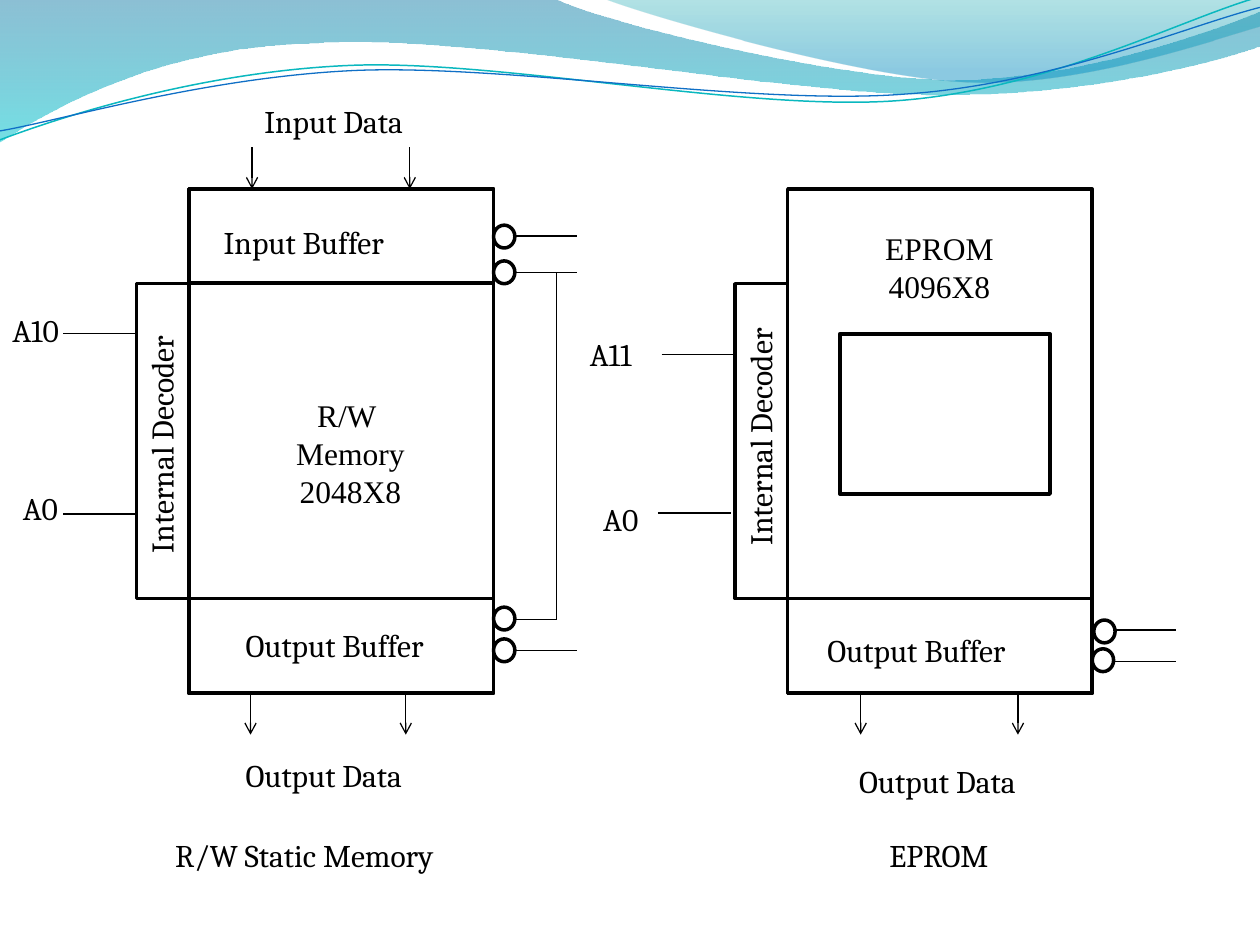
from lxml.etree import SubElement
from pptx import Presentation
from pptx.dml.color import RGBColor
from pptx.enum.shapes import MSO_CONNECTOR as Connector, MSO_SHAPE as Shape
from pptx.enum.text import MSO_AUTO_SIZE as AutoSize, PP_ALIGN as Align
from pptx.oxml.ns import qn
from pptx.util import Cm, Pt

BLACK, WHITE = "000000", "FFFFFF"
BODY_TOP, BODY_WIDTH, BODY_HEIGHT = 3.81, 6.14, 10.16
BUFFER_HEIGHT, DECODER_WIDTH = 1.9, 1.06
BODY_BOTTOM = BODY_TOP + BODY_HEIGHT
RAM_LEFT, EPROM_LEFT = 3.81, 15.88
RAM_RIGHT, EPROM_RIGHT = RAM_LEFT + BODY_WIDTH, EPROM_LEFT + BODY_WIDTH

BAND = [[(0, 0)], [(11.18, -0.03)],
        [(12.09, 0.43), (16.87, 1.6), (19.25, 1.6)],
        [(21.67, 1.6), (24.33, 0.66), (25.4, 0.23)], [(25.43, 0.91)],
        [(24.97, 1.12), (22.1, 1.93), (18.95, 1.91)],
        [(15.8, 1.91), (9.7, 0.71), (6.53, 0.86)],
        [(3.28, 0.91), (1.17, 2.11), (-0.03, 2.87)], [(0, 0)]]
CORNER = [[(12.17, -0.03)], [(12.93, 0.28), (17.32, 1.57), (19.53, 1.65)],
          [(21.74, 1.75), (24.41, 0.81), (25.4, 0.53)], [(25.4, 0)],
          [(12.17, -0.03)]]
TEAL_WAVE = [[(0, 2.82)], [(1.22, 2.36), (4.01, 1.45), (7.04, 1.32)],
             [(10.03, 1.19), (15.06, 2.26), (18.11, 2.03)],
             [(21.16, 1.8), (23.83, 0.38), (25.35, -0.05)]]
BLUE_WAVE = [[(0, 2.64)], [(1.19, 2.44), (4.17, 1.55), (7.19, 1.42)],
             [(10.24, 1.3), (15.16, 2.13), (18.21, 1.9)],
             [(21.23, 1.7), (23.9, 0.53), (25.4, 0.15)]]


def colour(value):
    """Turn a hex string into a colour."""
    return RGBColor.from_string(value)


def add_outline(page, outline, close):
    """Add a freeform whose three-point segments are cubic curves."""
    start, *rest = [(Cm(x), Cm(y)) for segment in outline for x, y in segment]
    builder = page.shapes.build_freeform(*start)
    builder.add_line_segments(rest, close=close)
    shape = builder.convert_to_shape()
    shape.shadow.inherit = False
    drawing = next(shape.element.iter(qn("a:path")))
    lines = iter(drawing.findall(qn("a:lnTo")))
    for segment in outline[1:]:
        nodes = [next(lines) for _ in segment]
        if len(segment) == 3:
            curve = SubElement(drawing, qn("a:cubicBezTo"))
            nodes[0].addprevious(curve)
            for node in nodes:
                curve.append(node[0])
                drawing.remove(node)
    return shape


def add_band(page, outline, stops):
    """Add a filled band with a translucent vertical gradient."""
    shape = add_outline(page, outline, True)
    shape.line.fill.background()
    shape.fill.gradient()
    shape.fill.gradient_angle = 270
    for stop, (position, value, _) in zip(shape.fill.gradient_stops, stops):
        stop.position = position
        stop.color.rgb = colour(value)
    fills = shape.element.spPr.iter(qn("a:srgbClr"))
    for fill, (_, _, opacity) in zip(fills, stops):
        SubElement(fill, qn("a:alpha"), val=str(opacity * 1000))


def add_wave(page, outline, value, width):
    """Add an open curved line."""
    shape = add_outline(page, outline, False)
    shape.fill.background()
    shape.line.color.rgb = colour(value)
    shape.line.width = Pt(width)


def add_block(page, left, top, width, height, kind=Shape.RECTANGLE):
    """Add a white shape with a black outline."""
    shape = page.shapes.add_shape(kind, Cm(left), Cm(top), Cm(width), Cm(height))
    shape.shadow.inherit = False
    shape.fill.solid()
    shape.fill.fore_color.rgb = colour(WHITE)
    shape.line.color.rgb = colour(BLACK)
    shape.line.width = Pt(2)
    return shape


def add_wire(page, x1, y1, x2, y2, arrow=False):
    """Add a thin black line, with an arrowhead at its end if asked."""
    wire = page.shapes.add_connector(Connector.STRAIGHT, Cm(x1), Cm(y1), Cm(x2), Cm(y2))
    wire.line.color.rgb = colour(BLACK)
    wire.line.width = Pt(0.75)
    properties = wire.element.spPr
    if arrow:
        SubElement(properties.find(qn("a:ln")), qn("a:tailEnd"), type="arrow")
    SubElement(properties, qn("a:effectLst"))
    return wire


def add_label(page, text, left, top, width, height=1.03, font="Cambria",
              align=Align.LEFT, vertical=False):
    """Add a text box in 18 point black."""
    box = page.shapes.add_textbox(Cm(left), Cm(top), Cm(width), Cm(height))
    frame = box.text_frame
    frame.word_wrap = True
    frame.auto_size = AutoSize.SHAPE_TO_FIT_TEXT
    frame.text = text
    if vertical:
        box.element.find(qn("p:txBody")).find(qn("a:bodyPr")).set("vert", "vert270")
    for para in frame.paragraphs:
        para.alignment = align
        for span in para.runs:
            span.font.name = font
            span.font.size = Pt(18)
            span.font.color.rgb = colour(BLACK)


def add_chip(page, left):
    """Add a memory body with its decoder and output buffer."""
    add_block(page, left, BODY_TOP, BODY_WIDTH, BODY_HEIGHT)
    add_block(page, left - DECODER_WIDTH, 5.72, DECODER_WIDTH, 6.35)
    add_block(page, left, BODY_BOTTOM - BUFFER_HEIGHT, BODY_WIDTH, BUFFER_HEIGHT)


def add_backdrop(page):
    """Add the bands and waves along the top."""
    add_band(page, BAND, [(0, "0074A1", 45), (1, "00C6CF", 55)])
    add_band(page, CORNER, [(0, "00A1A9", 30), (0.8, "008BBF", 45)])
    add_wave(page, TEAL_WAVE, "0AB8BF", 0.85)
    add_wave(page, BLUE_WAVE, "0F6FC6", 0.75)


def add_wires(page, input_buffer):
    """Add the address, data and control lines."""
    for x, y in ((1.27, 6.73), (1.27, 10.36), (13.34, 7.14), (13.26, 10.34)):
        add_wire(page, x, y, x + 1.47, y)
    for x in (5.08, 8.26):
        add_wire(page, x, 2.97, x, BODY_TOP, True)
    for x in (5.05, 8.18, 17.35, 20.52):
        add_wire(page, x, BODY_BOTTOM, x, 14.81, True)
    enable = add_wire(page, 11.63, 4.76, RAM_RIGHT, 4.76, True)
    enable.end_connect(input_buffer, 3)
    for start, y, end in ((11.63, 5.5, RAM_RIGHT), (11.63, 13.11, RAM_RIGHT),
                          (11.22, 12.49, RAM_RIGHT), (23.7, 12.7, EPROM_RIGHT),
                          (23.7, 13.34, EPROM_RIGHT)):
        add_wire(page, start, y, end, y, True)
    add_wire(page, 11.22, 5.5, 11.22, 12.49)
    for x, y in ((RAM_RIGHT, 4.54), (RAM_RIGHT, 5.26), (RAM_RIGHT, 12.24),
                 (RAM_RIGHT, 12.88), (EPROM_RIGHT + 0.03, 12.5), (EPROM_RIGHT, 13.08)):
        add_block(page, x, y, 0.43, 0.46, Shape.OVAL)


def add_labels(page):
    """Add all wording."""
    for text, left, top, width in (
            ("Input Data", 5.08, 1.93, 4.34), ("Output Data", 17.07, 15.24, 4.34),
            ("Output Data", 4.7, 15.11, 4.34), ("Output Buffer", 4.7, 12.5, 5.23),
            ("Output Buffer", 16.43, 12.6, 5.23), ("Input Buffer", 4.26, 4.37, 5.23),
            ("A10", 0, 6.15, 2.44), ("A0", 0.21, 9.73, 1.7), ("A0", 11.91, 9.96, 1.7),
            ("A11", 11.64, 6.63, 1.7), ("R/W Static Memory", 3.28, 16.72, 6.4),
            ("EPROM", 17.68, 16.73, 3.28)):
        add_label(page, text, left, top, width)
    for left, top in ((2.74, 6.35), (14.81, 6.2)):
        add_label(page, "Internal Decoder", left, top, 1.27, 5.05, vertical=True)
    for text, left, top, width, height in (
            ("EPROM\n4096X8", 16.77, 4.5, 4.34, 1.8),
            ("R/W \nMemory\n2048X8", 4.45, 7.86, 5.23, 2.57)):
        add_label(page, text, left, top, width, height, "Times New Roman", Align.CENTER)


def main():
    """Build the memory chip slide."""
    deck = Presentation()
    deck.slide_width, deck.slide_height = Cm(25.4), Cm(19.05)
    page = deck.slides.add_slide(deck.slide_layouts[6])
    add_backdrop(page)
    for left in (RAM_LEFT, EPROM_LEFT):
        add_chip(page, left)
    input_buffer = add_block(page, RAM_LEFT, BODY_TOP, BODY_WIDTH, BUFFER_HEIGHT)
    add_block(page, 16.93, 6.73, 4.24, 3.23)
    add_wires(page, input_buffer)
    add_labels(page)
    deck.save("out.pptx")


if __name__ == "__main__":
    main()
